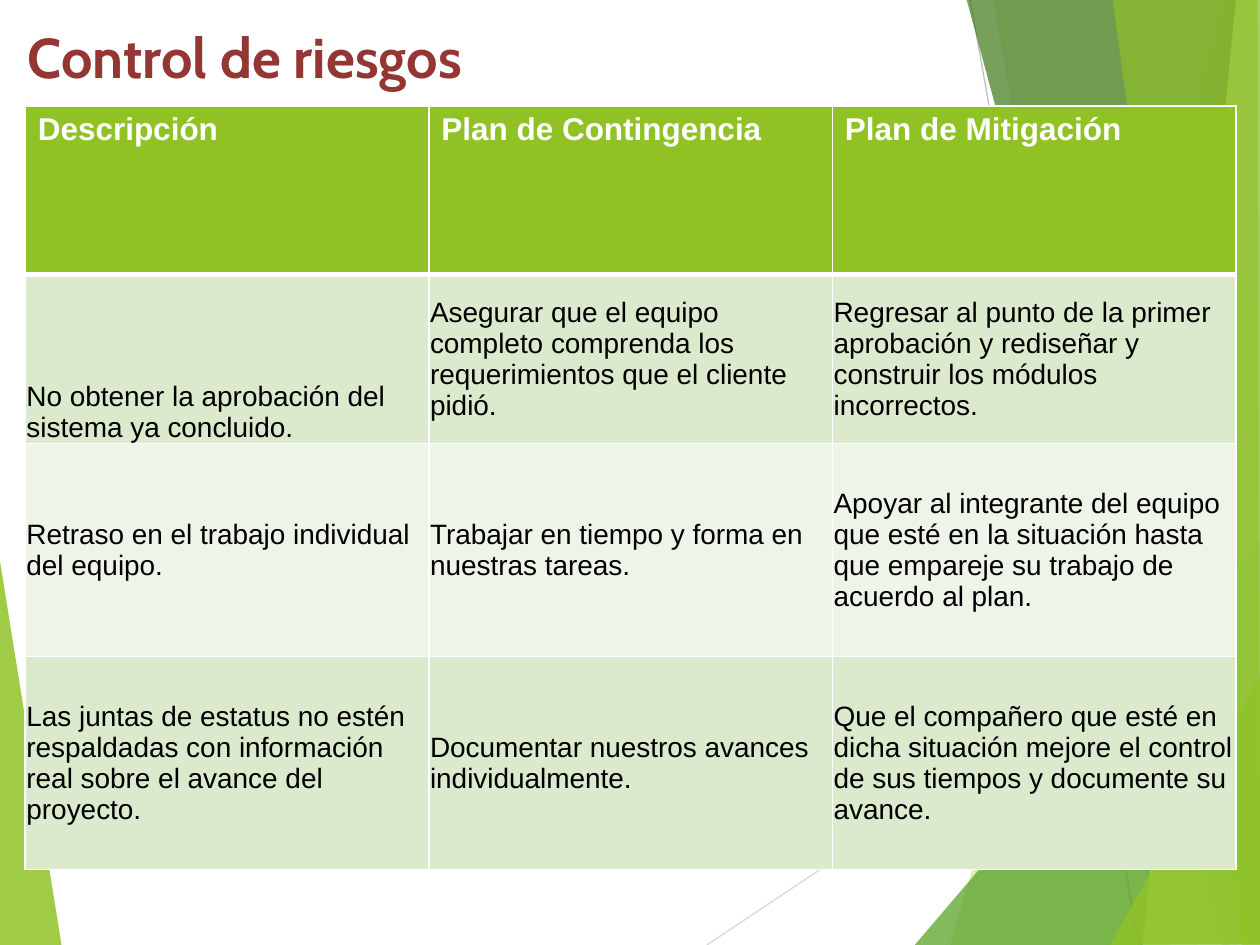
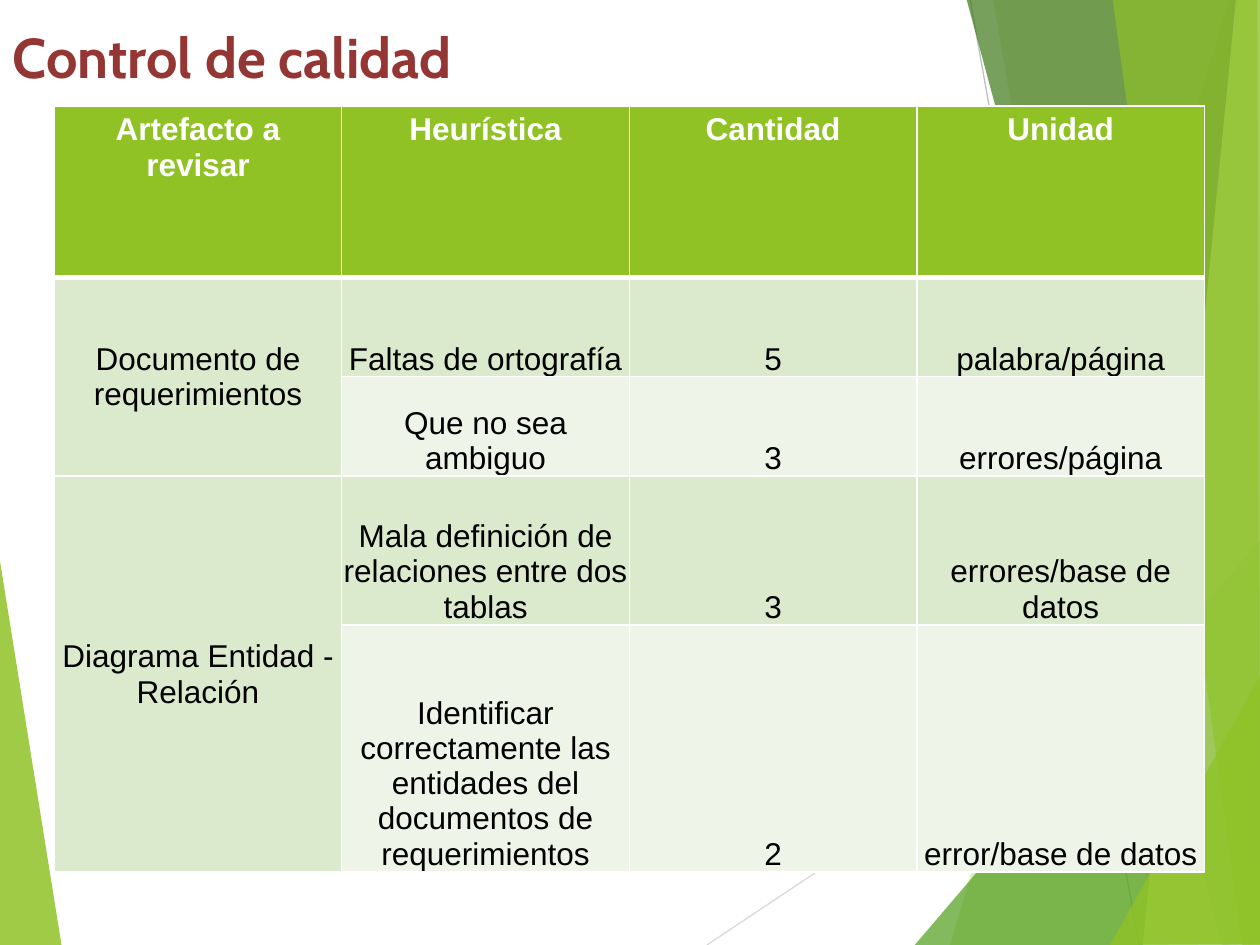
import pptx
import pptx.dml.color
import pptx.enum.shapes
import pptx.enum.text
import pptx.oxml
import pptx.oxml.ns
import pptx.util
from pptx.util import Inches

ANCHOR = pptx.enum.text.MSO_ANCHOR
ALIGN = pptx.enum.text.PP_ALIGN

COLORS = {
    "title": "943634",
    "lime": "90C226",
    "green": "54A021",
    "dark": "3F7819",
    "pale": "C0E474",
    "band_odd": "DBE9CD",
    "band_even": "EEF4E8",
    "white": "FFFFFF",
    "black": "000000",
    "line_light": "D9D9D9",
    "line_mid": "BFBFBF",
}

TITLE_FONT = {"name": "Cabin", "size": pptx.util.Pt(32), "bold": True}
HEADER_FONT = {"name": "Arial", "size": pptx.util.Pt(18), "bold": True}
BODY_FRAME = {
    "margin_left": Inches(0.01),
    "margin_right": Inches(0.01),
    "margin_top": Inches(0.01),
    "margin_bottom": 0,
}

RAYS = [
    ((5.61, 7.5), (10.01, 4.57), "line_light"),
    ((7.7, 0), (9.04, 7.5), "line_mid"),
]
LEFT_FACET = ([(-0.01, 4.39), (0.49, 7.51), (-0.01, 7.5)], "lime", 85)
RIGHT_FACETS = [
    ([(9.75, 0), (7.54, 7.5), (10.02, 7.51), (10.01, 0.01)], "lime", 30),
    ([(7.88, -0.01), (9.19, 7.5), (10.01, 7.5), (10.01, -0.01)], "lime", 20),
    ([(7.26, 7.5), (10, 4.29), (10.01, 7.5)], "green", 72),
    ([(7.67, -0.01), (9.7, 7.5), (10.01, 7.49), (10.01, -0.01)], "dark", 70),
    ([(9.81, -0.01), (9.07, 7.5), (10.01, 7.5), (10, -0.01)], "pale", 70),
    ([(8.83, -0.01), (9.86, 7.5), (10, 7.5), (9.98, -0.01)], "lime", 65),
    ([(8.81, 7.5), (10.01, 5.35), (10.01, 7.49)], "lime", 80),
]

RISKS = [
    ["Descripción", "Plan de Contingencia", "Plan de Mitigación"],
    [
        "No obtener la aprobación del sistema ya concluido.",
        "Asegurar que el equipo completo comprenda los requerimientos que el cliente pidió.",
        "Regresar al punto de la primer aprobación y rediseñar y construir los módulos incorrectos.",
    ],
    [
        "Retraso en el trabajo individual del equipo.",
        "Trabajar en tiempo y forma en nuestras tareas.",
        "Apoyar al integrante del equipo que esté en la situación hasta que empareje su trabajo de acuerdo al plan.",
    ],
    [
        "Las juntas de estatus no estén respaldadas con información real sobre el avance del proyecto.",
        "Documentar nuestros avances individualmente.",
        "Que el compañero que esté en dicha situación mejore el control de sus tiempos y documente su avance.",
    ],
]

QUALITY = [
    ["Artefacto a revisar", "Heurística", "Cantidad", "Unidad"],
    ["Documento de requerimientos", "Faltas de ortografía", "5", "palabra/página"],
    ["", "Que no sea ambiguo", "3", "errores/página"],
    [
        "Diagrama Entidad - Relación",
        "Mala definición de relaciones entre dos tablas",
        "3",
        "errores/base de datos",
    ],
    [
        "",
        "Identificar correctamente las entidades del documentos de requerimientos",
        "2",
        "error/base de datos",
    ],
]


def rgb(name):
    return pptx.dml.color.RGBColor.from_string(COLORS[name])


def apply(obj, values):
    for name, value in values.items():
        setattr(obj, name, value)


def sub(parent, tag, **attrs):
    return pptx.oxml.ns and parent.makeelement(pptx.oxml.ns.qn(tag), attrs)


def add_child(parent, tag, **attrs):
    child = sub(parent, tag, **attrs)
    parent.append(child)
    return child


def add_facet(slide, points, color, opacity):
    pts = [(Inches(x), Inches(y)) for x, y in points]
    builder = slide.shapes.build_freeform(*pts[0], scale=1.0)
    builder.add_line_segments(pts[1:], close=True)
    sp = builder.convert_to_shape()
    sp.shadow.inherit = False
    sp.line.fill.background()
    sp.fill.solid()
    sp.fill.fore_color.rgb = rgb(color)
    clr = next(sp.element.spPr.iter(pptx.oxml.ns.qn("a:srgbClr")))
    add_child(clr, "a:alpha", val=str(opacity * 1000))
    return sp


def add_ray(slide, start, end, color):
    ends = [Inches(v) for v in start + end]
    line = slide.shapes.add_connector(pptx.enum.shapes.MSO_CONNECTOR.STRAIGHT, *ends)
    line.line.color.rgb = rgb(color)
    line.line.width = pptx.util.Pt(0.75)
    add_child(line.element.spPr, "a:effectLst")
    return line


def move_backdrop_to_layout(slide):
    backdrop = [add_facet(slide, *LEFT_FACET)]
    backdrop += [add_ray(slide, *ray) for ray in RAYS]
    backdrop += [add_facet(slide, *facet) for facet in RIGHT_FACETS]
    tree = slide.slide_layout.element.cSld.spTree
    for i, sp in enumerate(backdrop):
        tree.insert(2 + i, sp.element)


def set_title(slide, text, left, width):
    title = slide.shapes.title
    apply(title, {
        "left": Inches(left),
        "top": Inches(0.13),
        "width": Inches(width),
        "height": Inches(0.86),
    })
    tf = title.text_frame
    tf.text = text
    apply(tf, {
        "auto_size": pptx.enum.text.MSO_AUTO_SIZE.NONE,
        "vertical_anchor": ANCHOR.TOP,
        "word_wrap": True,
    })
    p = tf.paragraphs[0]
    p.alignment = ALIGN.LEFT
    font = p.runs[0].font
    apply(font, TITLE_FONT)
    font.color.rgb = rgb("title")


def set_borders(cell, row):
    tcPr = cell._tc.get_or_add_tcPr()
    widths = {"L": 1, "R": 1, "T": 3 if row == 1 else 1, "B": 3 if row == 0 else 1}
    for side, width in widths.items():
        ln = add_child(tcPr, f"a:ln{side}", w=str(pptx.util.Pt(width)))
        add_child(add_child(ln, "a:solidFill"), "a:srgbClr", val=COLORS["white"])


def format_cell(cell, row, text, body_size, align, anchor):
    header = row == 0
    set_borders(cell, row)
    band = "lime" if header else ("band_odd" if row % 2 else "band_even")
    cell.fill.solid()
    cell.fill.fore_color.rgb = rgb(band)
    if not header:
        apply(cell, BODY_FRAME)
        cell.vertical_anchor = anchor
    p = cell.text_frame.paragraphs[0]
    p.alignment = align
    body_font = {"name": "Arial", "size": pptx.util.Pt(body_size), "bold": False}
    if text:
        r = p.add_run()
        r.text = text
        apply(r.font, HEADER_FONT if header else body_font)
        r.font.color.rgb = rgb("white" if header else "black")


def add_grid(slide, rows, left, width, heights, body_size, align, anchor):
    frame = slide.shapes.add_table(
        len(rows), len(rows[0]),
        Inches(left), Inches(0.84), Inches(width), Inches(sum(heights)),
    )
    table = frame.table
    for i, (texts, height) in enumerate(zip(rows, heights)):
        table.rows[i].height = Inches(height)
        for j, text in enumerate(texts):
            format_cell(table.cell(i, j), i, text, body_size, align, anchor)
    return table


def main():
    prs = pptx.Presentation()
    prs.slide_width, prs.slide_height = Inches(10), Inches(7.5)
    layout = prs.slide_layouts[5]

    risks = prs.slides.add_slide(layout)
    move_backdrop_to_layout(risks)
    set_title(risks, "Control de riesgos", 0.12, 9.53)
    table = add_grid(risks, RISKS, 0.2, 9.61, [1.34, 1.34, 1.69, 1.69],
                     16, ALIGN.LEFT, ANCHOR.MIDDLE)
    table.cell(1, 0).vertical_anchor = ANCHOR.BOTTOM

    quality = prs.slides.add_slide(layout)
    set_title(quality, "Control de calidad", 0, 10)
    table = add_grid(quality, QUALITY, 0.43, 9.13, [1.36, 0.79, 0.79, 1.18, 1.96],
                     18, ALIGN.CENTER, ANCHOR.BOTTOM)
    for row in (1, 3):
        artifact = table.cell(row, 0)
        artifact.merge(table.cell(row + 1, 0))
        artifact.vertical_anchor = ANCHOR.MIDDLE

    prs.save("out.pptx")


if __name__ == "__main__":
    main()
